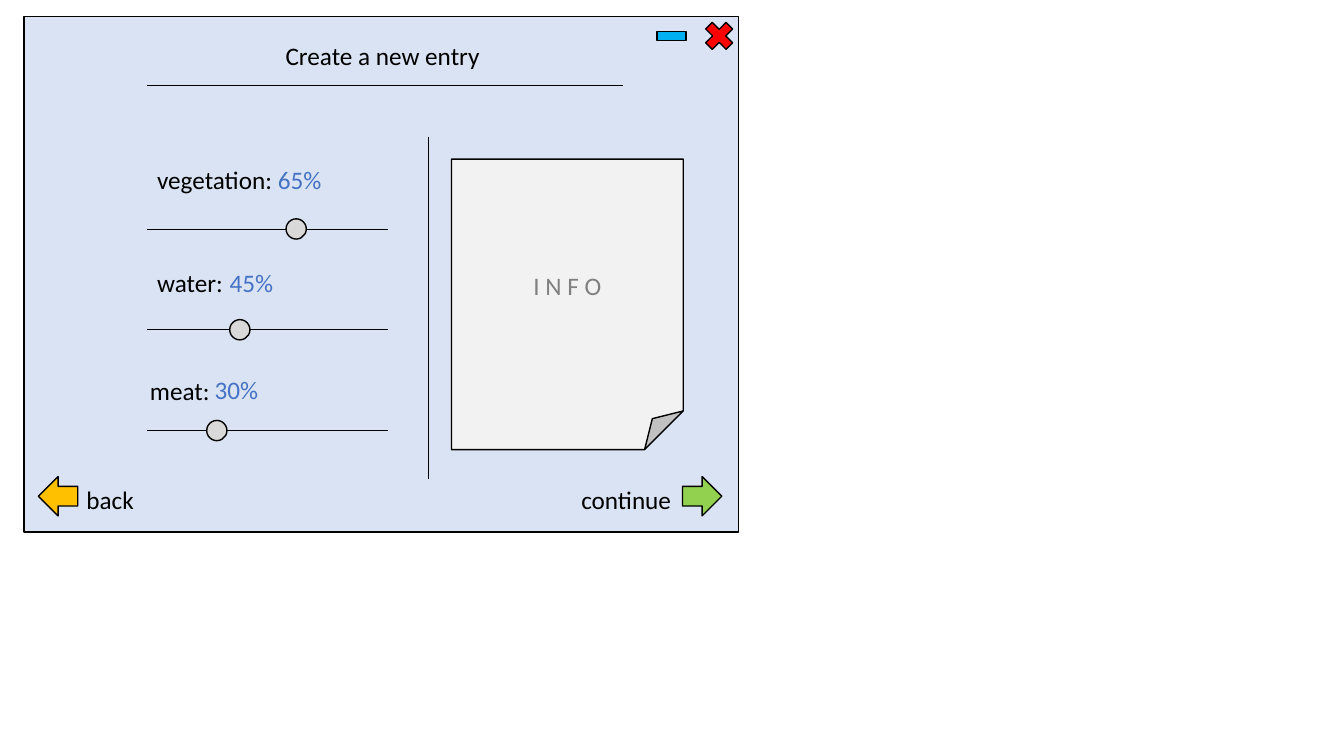
from pptx import Presentation
from pptx.dml.color import RGBColor
from pptx.enum.shapes import MSO_CONNECTOR, MSO_SHAPE as SHAPE
from pptx.enum.text import MSO_ANCHOR, MSO_AUTO_SIZE, PP_ALIGN
from pptx.oxml.ns import qn
from pptx.util import Cm, Pt
from lxml import etree

BLACK = RGBColor(0x00, 0x00, 0x00)
WINDOW_BLUE = RGBColor(0xDA, 0xE3, 0xF3)
RED = RGBColor(0xFF, 0x00, 0x00)
SKY_BLUE = RGBColor(0x00, 0xB0, 0xF0)
ORANGE = RGBColor(0xFF, 0xC0, 0x00)
GREEN = RGBColor(0x92, 0xD0, 0x50)
PAPER = RGBColor(0xF2, 0xF2, 0xF2)
KNOB_GRAY = RGBColor(0xD9, 0xD9, 0xD9)
INFO_GRAY = RGBColor(0x80, 0x80, 0x80)
VALUE_BLUE = RGBColor(0x44, 0x72, 0xC4)

prs = Presentation()
prs.slide_width, prs.slide_height = Cm(33.87), Cm(19.05)
s = prs.slides.add_slide(prs.slide_layouts[6])


def add_text(text, *, box=None, tf=None, color=BLACK, align=PP_ALIGN.LEFT, wrap=True):
    """Write text into a new box (left, top, width) or onto the end of tf."""
    if tf is None:
        left, top, width = box
        tf = s.shapes.add_textbox(Cm(left), Cm(top), Cm(width), Cm(1.03)).text_frame
        tf.word_wrap = wrap
        tf.auto_size = MSO_AUTO_SIZE.SHAPE_TO_FIT_TEXT
    p = tf.paragraphs[0]
    p.alignment = align
    r = p.add_run()
    r.text = text
    r.font.name, r.font.size = "Calibri", Pt(18)
    r.font.color.rgb = color
    return tf


def add_shape(kind, left, top, width, height, color):
    sp = s.shapes.add_shape(kind, Cm(left), Cm(top), Cm(width), Cm(height))
    sp.shadow.inherit = False
    sp.fill.solid()
    sp.fill.fore_color.rgb = color
    sp.line.color.rgb = BLACK
    sp.line.width = Pt(1)
    return sp


# Window and its buttons
add_shape(SHAPE.RECTANGLE, 0.61, 0.41, 18.01, 13, WINDOW_BLUE)
ICON = 0.99
for kind, left, top, color in [
    (SHAPE.MATH_MULTIPLY, 17.63, 0.41, RED),
    (SHAPE.MATH_MINUS, 16.43, 0.41, SKY_BLUE),
    (SHAPE.LEFT_ARROW, 0.97, 12.01, ORANGE),
    (SHAPE.RIGHT_ARROW, 17.2, 12.01, GREEN),
]:
    add_shape(kind, left, top, ICON, ICON, color)
add_text("back", box=(1.93, 12.07, 1.73), wrap=False)
add_text("continue", box=(14.4, 12.07, 2.82), wrap=False)
add_text("Create a new entry ", box=(6.91, 0.89, 5.61), align=PP_ALIGN.CENTER, wrap=False)

# Title rule, column divider and slider tracks
TRACK_LEFT, TRACK_RIGHT = 3.71, 9.78
track_tops = [5.77 + 2.54 * i for i in range(3)]
lines = [(TRACK_LEFT, 2.16, 15.7, 2.16), (10.8, 3.45, 10.8, 12.07)]
lines += [(TRACK_LEFT, y, TRACK_RIGHT, y) for y in track_tops]
for ends in lines:
    line = s.shapes.add_connector(MSO_CONNECTOR.STRAIGHT, *(Cm(v) for v in ends))
    line.line.color.rgb = BLACK
    line.line.width = Pt(0.5)
    etree.SubElement(line._element.spPr, qn("a:effectLst"))

# Slider knobs and labels
KNOB = 0.51
for left, y in zip([7.21, 5.79, 5.21], track_tops):
    add_shape(SHAPE.OVAL, left, y - KNOB / 2, KNOB, KNOB, KNOB_GRAY)
vegetation = add_text("vegetation:", box=(3.71, 4.01, 6.07))
add_text(" 65%", tf=vegetation, color=VALUE_BLUE)
add_text("water:", box=(3.71, 6.6, 6.07))
add_text("45%", box=(5.54, 6.6, 2.01), color=VALUE_BLUE)
add_text("meat:", box=(3.53, 9.33, 6.07))
add_text("30%", box=(5.16, 9.31, 1.75), color=VALUE_BLUE)

# Info sheet
sheet = add_shape(SHAPE.FOLDED_CORNER, 11.38, 4.01, 5.84, 7.32, PAPER)
sheet.text_frame.vertical_anchor = MSO_ANCHOR.MIDDLE
add_text("I N F O", tf=sheet.text_frame, color=INFO_GRAY, align=PP_ALIGN.CENTER)

prs.save("out.pptx")
